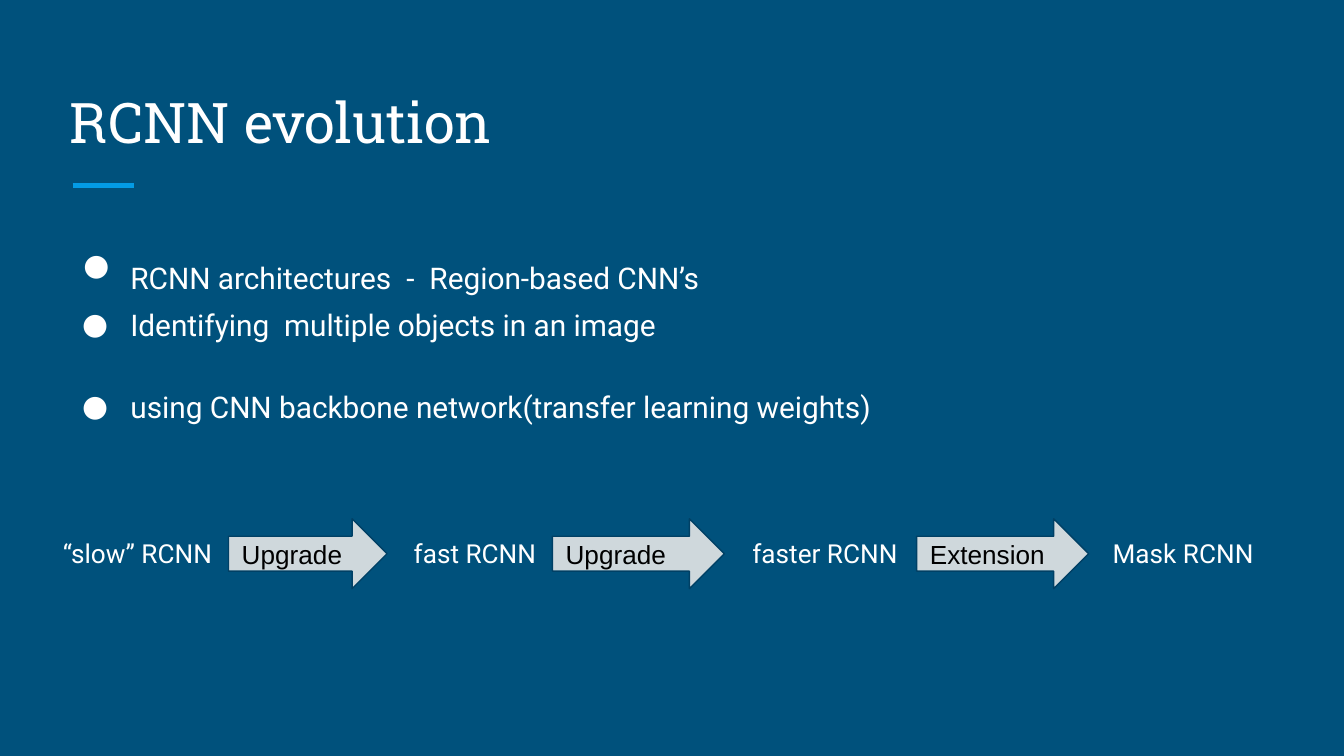
"""Build the RCNN evolution slide."""
from dataclasses import dataclass

import pptx
import pptx.dml.color
import pptx.enum.shapes
import pptx.enum.text
import pptx.oxml
import pptx.oxml.ns
import pptx.util
from pptx.util import Inches

Anchor = pptx.enum.text.MSO_ANCHOR
NAMESPACE = pptx.oxml.ns.nsdecls("a")


@dataclass(frozen=True)
class Theme:
    background: str = "00517C"
    accent: str = "039BE5"
    text: str = "FFFFFF"
    arrow_fill: str = "CFD8DC"
    arrow_line: str = "004065"
    arrow_text: str = "000000"
    heading_font: str = "Roboto Slab"
    body_font: str = "Roboto"
    arrow_font: str = "Arial"
    title_size: int = 30
    gap_size: int = 32
    body_size: int = 16
    stage_size: int = 14


THEME = Theme()


@dataclass(frozen=True)
class Style:
    size: int
    font: str
    color: str = THEME.text


TITLE = Style(THEME.title_size, THEME.heading_font)
BODY = Style(THEME.body_size, THEME.body_font)
GAP = Style(THEME.gap_size, THEME.heading_font)
STAGE = Style(THEME.stage_size, THEME.body_font)
ARROW = Style(THEME.stage_size, THEME.arrow_font, THEME.arrow_text)


@dataclass(frozen=True)
class Label:
    text: str
    left: float
    width: float


@dataclass(frozen=True)
class Bullet:
    spans: tuple[tuple[str, Style], ...]
    line_spacing: float = 1.15
    hanging: float = 0.36
    space_before: float = 0


STAGES = (
    Label("“slow” RCNN", 0.37, 1.4),
    Label("fast RCNN", 2.98, 1.65),
    Label("faster RCNN", 5.5, 1.65),
    Label("Mask RCNN", 8.18, 1.82),
)
ARROWS = (
    Label("Upgrade", 1.7, 1.18),
    Label("Upgrade", 4.11, 1.28),
    Label("Extension", 6.82, 1.28),
)
BULLETS = (
    Bullet(
        (("RCNN architectures", BODY), (" ", GAP), ("-  Region-based CNN’s", BODY)),
        line_spacing=1.5,
        hanging=0.35,
    ),
    Bullet((("Identifying  multiple objects in an image", BODY),)),
    Bullet(
        (("using CNN backbone network(transfer learning weights)", BODY),),
        space_before=22,
    ),
)


def rgb(value: str) -> pptx.dml.color.RGBColor:
    """Turn a hex string into a colour."""
    return pptx.dml.color.RGBColor.from_string(value)


def append_xml(parent, markup: str) -> None:
    """Append a drawing element written as markup."""
    parent.append(pptx.oxml.parse_xml(markup))


def add_span(para, text: str, style: Style) -> None:
    """Add one formatted run to a paragraph."""
    span = para.add_run()
    span.text = text
    span.font.size = pptx.util.Pt(style.size)
    span.font.name = style.font
    span.font.color.rgb = rgb(style.color)


def place(box, left: float, top: float, width: float, height: float) -> None:
    """Position a shape in inches."""
    box.left, box.top = Inches(left), Inches(top)
    box.width, box.height = Inches(width), Inches(height)


def prepare_frame(box, anchor):
    """Set margins, wrapping and anchor, and return the first paragraph left aligned."""
    frame = box.text_frame
    frame.auto_size = pptx.enum.text.MSO_AUTO_SIZE.NONE
    frame.word_wrap = True
    frame.vertical_anchor = anchor
    frame.margin_left = frame.margin_right = Inches(0.1)
    frame.margin_top = frame.margin_bottom = Inches(0.1)
    para = frame.paragraphs[0]
    para.alignment = pptx.enum.text.PP_ALIGN.LEFT
    return para


def set_list_size(box, size: int) -> None:
    """Set the first-level size, which the bullets follow."""
    levels = box.text_frame._txBody.find(pptx.oxml.ns.qn("a:lstStyle"))
    append_xml(
        levels,
        f'<a:lvl1pPr {NAMESPACE}><a:defRPr sz="{size * 100}"/></a:lvl1pPr>',
    )


def add_bullet(para, bullet: Bullet) -> None:
    """Format a paragraph as a bullet and fill in its runs."""
    properties = para._p.get_or_add_pPr()
    properties.set("marL", str(Inches(0.5)))
    properties.set("indent", str(-Inches(bullet.hanging)))
    for markup in (
        f'<a:buClr {NAMESPACE}><a:srgbClr val="{THEME.text}"/></a:buClr>',
        f'<a:buFont {NAMESPACE} typeface="{THEME.body_font}"/>',
        f'<a:buChar {NAMESPACE} char="●"/>',
    ):
        append_xml(properties, markup)
    para.line_spacing = bullet.line_spacing
    para.space_before = pptx.util.Pt(bullet.space_before)
    para.space_after = pptx.util.Pt(0)
    for text, style in bullet.spans:
        add_span(para, text, style)


def add_rule(page) -> None:
    """Draw the accent line under the title."""
    rule = page.shapes.add_connector(
        pptx.enum.shapes.MSO_CONNECTOR.STRAIGHT,
        Inches(0.54), Inches(1.38), Inches(1), Inches(1.38),
    )
    rule.line.color.rgb = rgb(THEME.accent)
    rule.line.width = pptx.util.Pt(3)
    append_xml(rule._element.spPr, f"<a:effectLst {NAMESPACE}/>")


def add_stage(page, label: Label) -> None:
    """Add the name of one network."""
    box = page.shapes.add_textbox(
        Inches(label.left), Inches(3.9), Inches(label.width), Inches(0.44)
    )
    add_span(prepare_frame(box, Anchor.TOP), label.text, STAGE)


def add_arrow(page, label: Label) -> None:
    """Add a labelled arrow between two networks."""
    arrow = page.shapes.add_shape(
        pptx.enum.shapes.MSO_SHAPE.RIGHT_ARROW,
        Inches(label.left), Inches(3.86), Inches(label.width), Inches(0.52),
    )
    arrow.shadow.inherit = False
    arrow.fill.solid()
    arrow.fill.fore_color.rgb = rgb(THEME.arrow_fill)
    arrow.line.color.rgb = rgb(THEME.arrow_line)
    arrow.line.width = pptx.util.Pt(0.75)
    add_span(prepare_frame(arrow, Anchor.MIDDLE), label.text, ARROW)


def main() -> None:
    """Build and save the deck."""
    deck = pptx.Presentation()
    deck.slide_width = Inches(10)
    deck.slide_height = deck.slide_width * 9 // 16
    page = deck.slides.add_slide(deck.slide_layouts[1])
    page.background.fill.solid()
    page.background.fill.fore_color.rgb = rgb(THEME.background)

    add_rule(page)
    title, body = page.placeholders
    place(title, 0.42, 0.5, 9.15, 0.75)
    add_span(prepare_frame(title, Anchor.BOTTOM), "RCNN evolution", TITLE)
    for stage in STAGES:
        add_stage(page, stage)
    for arrow in ARROWS:
        add_arrow(page, arrow)

    place(body, 0.37, 1.34, 9.33, 1.9)
    set_list_size(body, THEME.body_size)
    para = prepare_frame(body, Anchor.TOP)
    add_bullet(para, BULLETS[0])
    for bullet in BULLETS[1:]:
        add_bullet(body.text_frame.add_paragraph(), bullet)
    deck.save("out.pptx")


if __name__ == "__main__":
    main()
